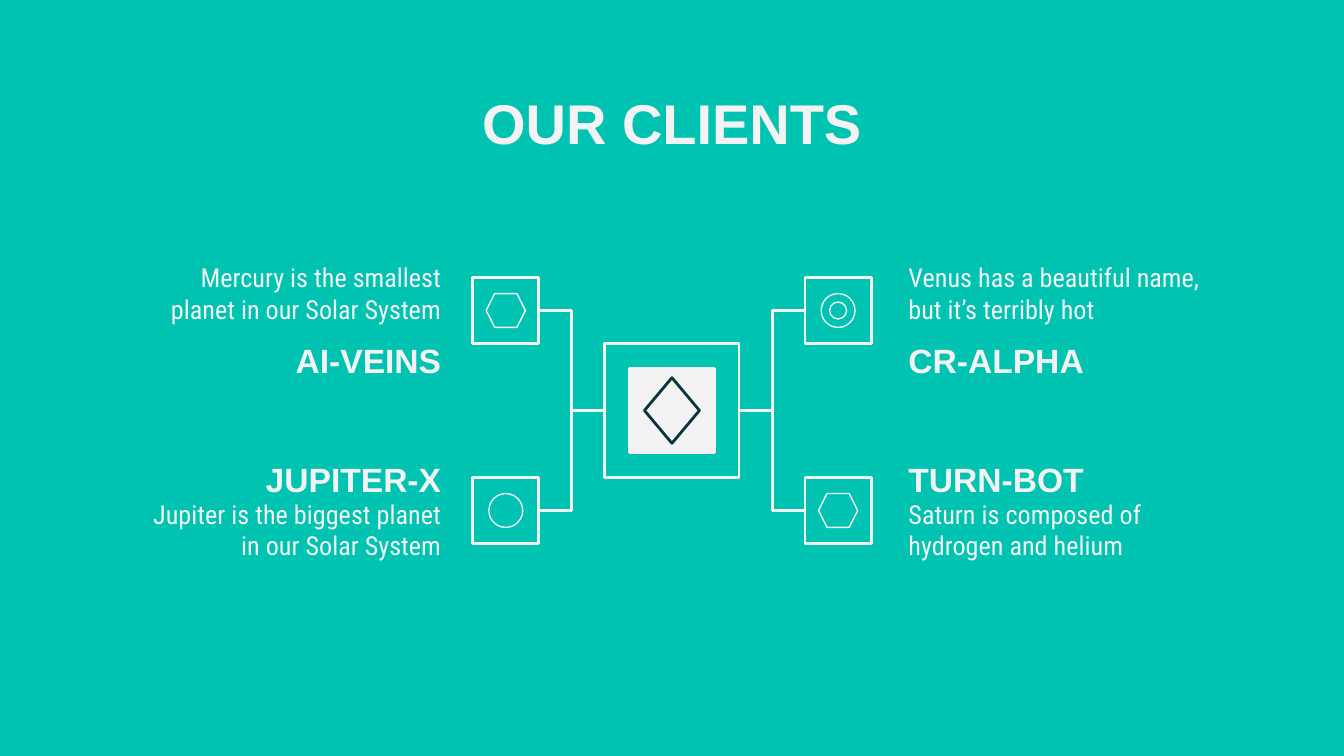
from lxml import etree
from pptx import Presentation
from pptx import util as u
from pptx.dml.color import RGBColor
from pptx.enum import shapes, text
from pptx.oxml.ns import qn

COLORS = {"teal": "00C3B1", "light": "F3F3F3", "dark": "0C343D"}
HEADING, BODY = "Arial", "Roboto Condensed"
SHAPE = shapes.MSO_SHAPE
ALIGN = text.PP_ALIGN
ANCHOR = text.MSO_ANCHOR
TOP, LEFT, BOTTOM, RIGHT = range(4)  # connection sites of a rectangle


def rgb(name):
    return RGBColor.from_string(COLORS[name])


def write(tf, content, font=BODY, size=14, bold=False, align=ALIGN.LEFT,
          anchor=ANCHOR.TOP):
    tf.word_wrap = True
    tf.auto_size = text.MSO_AUTO_SIZE.NONE
    tf.vertical_anchor = anchor
    tf.margin_left = tf.margin_right = u.Cm(0.25)
    tf.margin_top = tf.margin_bottom = u.Cm(0.25)
    p = tf.paragraphs[0]
    p.alignment = align
    r = p.add_run()
    r.text = content
    r.font.name, r.font.size, r.font.bold = font, u.Pt(size), bold
    r.font.color.rgb = rgb("light")


class Deck:
    """Style of the deck and the slide being filled."""

    line_width = u.Pt(1.5)

    def __init__(self, prs):
        self.s = prs.slides.add_slide(prs.slide_layouts[5])
        self.s.background.fill.solid()
        self.s.background.fill.fore_color.rgb = rgb("teal")

    def title(self, content, x, y, w, h):
        sp = self.s.shapes.title
        sp.left, sp.top, sp.width, sp.height = map(u.Cm, (x, y, w, h))
        write(sp.text_frame, content, font=HEADING, size=30, bold=True,
              align=ALIGN.CENTER)

    def text(self, content, x, y, w, h, **style):
        sp = self.s.shapes.add_textbox(*map(u.Cm, (x, y, w, h)))
        write(sp.text_frame, content, **style)

    def shape(self, kind, cx, cy, w, h, fill=None, line="light",
              width=line_width):
        """Add a preset shape centred on (cx, cy)."""
        box = (cx - w / 2, cy - h / 2, w, h)
        sp = self.s.shapes.add_shape(kind, *map(u.Cm, box))
        sp.shadow.inherit = False
        if fill:
            sp.fill.solid()
            sp.fill.fore_color.rgb = rgb(fill)
        else:
            sp.fill.background()
        sp.line.color.rgb = rgb(line)
        sp.line.width = width
        return sp

    def elbow(self, start, start_site, end, end_site):
        c = self.s.shapes.add_connector(shapes.MSO_CONNECTOR.ELBOW, 0, 0, 0, 0)
        c.begin_connect(start, start_site)
        c.end_connect(end, end_site)
        c.line.color.rgb = rgb("light")
        c.line.width = self.line_width
        etree.SubElement(c._element.spPr, qn("a:effectLst"))


def main():
    prs = Presentation()
    prs.slide_width, prs.slide_height = u.Cm(25.4), u.Cm(14.29)
    deck = Deck(prs)
    deck.title("OUR CLIENTS", 2, 1.42, 21.4, 1.6)

    cx, cy = 12.7, 7.76
    hub = deck.shape(SHAPE.RECTANGLE, cx, cy, 2.54, 2.54)
    deck.shape(SHAPE.RECTANGLE, cx, cy, 1.6, 1.6, fill="light")
    deck.shape(SHAPE.DIAMOND, cx, cy, 1.04, 1.24, line="dark")

    # column (-1 left, 1 right), row (-1 upper, 1 lower), name, text, symbol
    clients = [
        (-1, -1, "AI-VEINS",
         "Mercury is the smallest planet in our Solar System", SHAPE.HEXAGON),
        (1, -1, "CR-ALPHA",
         "Venus has a beautiful name, but it’s terribly hot", SHAPE.DONUT),
        (-1, 1, "JUPITER-X",
         "Jupiter is the biggest planet in our Solar System", SHAPE.OVAL),
        (1, 1, "TURN-BOT",
         "Saturn is composed of hydrogen and helium", SHAPE.HEXAGON),
    ]
    # column: text left, text width, alignment, hub site, client site
    columns = {-1: (2.39, 6.2, ALIGN.RIGHT, LEFT, RIGHT),
               1: (16.92, 6.1, ALIGN.LEFT, RIGHT, LEFT)}
    # row: name top, name anchor, text top, text height
    rows = {-1: (6.3, ANCHOR.MIDDLE, 4.7, 1.24),
            1: (8.43, ANCHOR.TOP, 9.17, 1.96)}

    for col, row, name, about, symbol in clients:
        x, w, align, hub_site, client_site = columns[col]
        name_y, anchor, about_y, about_h = rows[row]
        deck.text(about, x, about_y, w, about_h, align=align)
        deck.text(name, x, name_y, w, 1.02, font=HEADING, size=18, bold=True,
                  align=align, anchor=anchor)

        node_x, node_y = cx + col * 3.14, cy + row * 1.89
        node = deck.shape(SHAPE.RECTANGLE, node_x, node_y, 1.25, 1.25)
        symbol_w = 0.74 if symbol == SHAPE.HEXAGON else 0.64
        deck.shape(symbol, node_x, node_y, symbol_w, 0.64, width=u.Pt(0.75))
        deck.elbow(hub, hub_site, node, client_site)

    prs.save("out.pptx")


if __name__ == "__main__":
    main()
